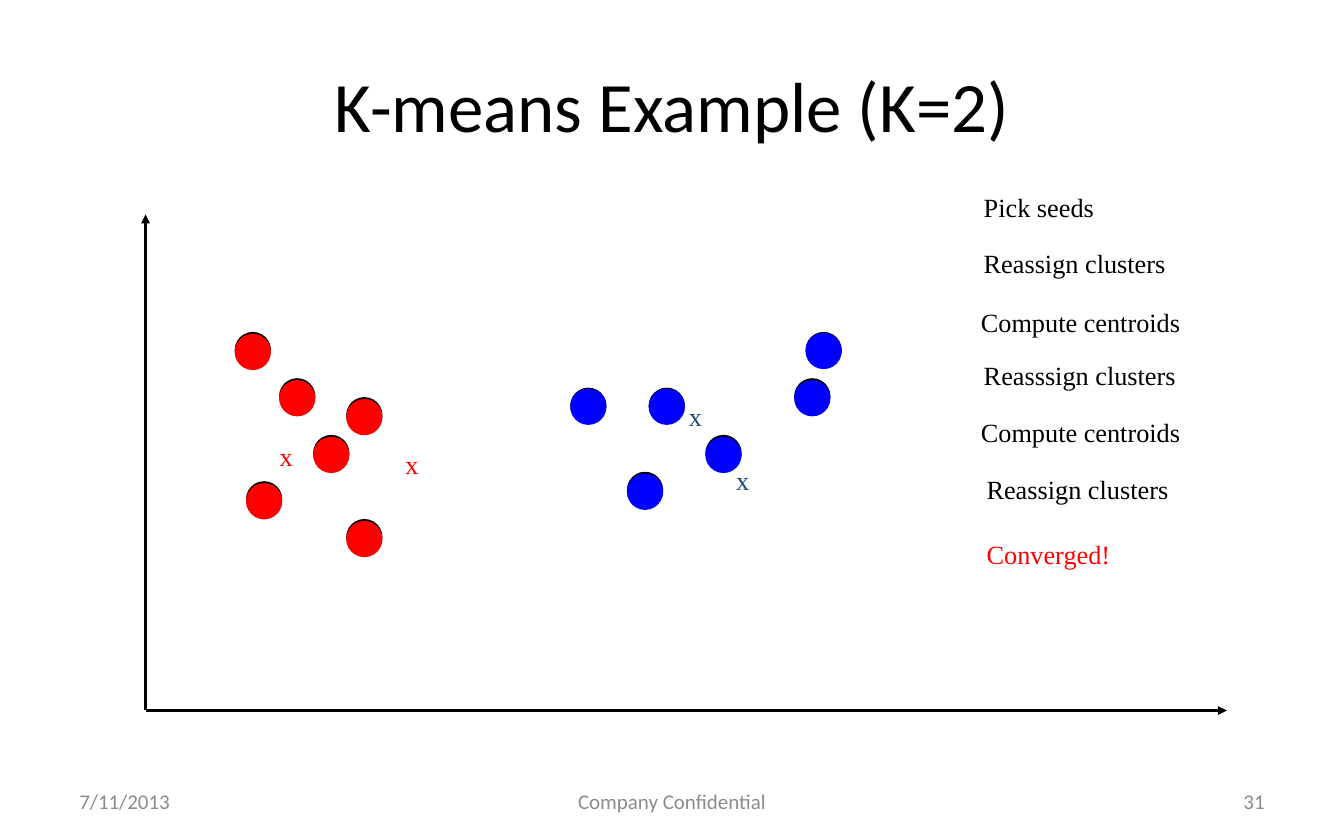
import pptx
import pptx.util
import pptx.dml.color
import pptx.enum.shapes
import pptx.enum.text
import pptx.oxml
import pptx.oxml.ns

Inches, Pt = pptx.util.Inches, pptx.util.Pt
ALIGN = pptx.enum.text.PP_ALIGN
ANCHOR = pptx.enum.text.MSO_ANCHOR

BLACK, RED, BLUE, NAVY, GRAY = "000000", "FF0000", "0000FF", "1F497D", "8C8C8C"
DOT = 0.37

AXES = [((1.54, 7.51), (1.54, 2.27)), ((1.54, 7.52), (12.98, 7.52))]

CLUSTERS = [
    (RED, 0.02, [(2.49, 3.52), (2.96, 4.01), (3.67, 4.21),
                 (3.32, 4.61), (2.61, 5.1), (3.67, 5.5)]),
    (BLUE, 0.02, [(8.41, 4.01), (7.47, 4.61), (6.64, 5)]),
    (BLUE, 0.01, [(8.53, 3.52), (6.04, 4.11), (6.87, 4.11)]),
]

CENTROIDS = [(4.19, 4.7, RED), (2.86, 4.61, RED),
             (7.69, 4.86, NAVY), (7.19, 4.19, NAVY)]

STEPS = [
    ("Pick seeds", 10.31, 1.98, 1.38, BLACK),
    ("Reassign clusters", 10.31, 2.57, 2.14, BLACK),
    ("Compute centroids", 10.28, 3.19, 2.33, BLACK),
    ("Reasssign clusters", 10.31, 3.75, 2.25, BLACK),
    ("Compute centroids", 10.28, 4.36, 2.33, BLACK),
    ("Reassign clusters", 10.34, 4.96, 2.14, BLACK),
    ("Converged!", 10.34, 5.65, 1.52, RED),
]

FRAMED = [
    ("K-means Example (K=2)", (0.71, 0.36, 12.8, 1.48), 54, BLACK, ALIGN.CENTER),
    ("7/11/2013", (0.71, 8.24, 3.32, 0.47), 16, GRAY, ALIGN.LEFT),
    ("Company Confidential", (4.86, 8.24, 4.5, 0.47), 16, GRAY, ALIGN.CENTER),
    ("31", (10.19, 8.24, 3.32, 0.47), 16, GRAY, ALIGN.RIGHT),
]


def rgb(color):
    return pptx.dml.color.RGBColor.from_string(color)


def set_all(obj, values):
    for name, value in values.items():
        setattr(obj, name, value)


def add_text(s, text, box, size, color, font, align=ALIGN.LEFT,
             anchor=ANCHOR.TOP, wrap=False, inset=(0.1, 0.05)):
    tf = s.shapes.add_textbox(*map(Inches, box)).text_frame
    dx, dy = map(Inches, inset)
    set_all(tf, {"margin_left": dx, "margin_right": dx, "margin_top": dy,
                 "margin_bottom": dy, "word_wrap": wrap,
                 "vertical_anchor": anchor})
    p = tf.paragraphs[0]
    p.alignment = align
    r = p.add_run()
    r.text = text
    set_all(r.font, {"name": font, "size": Pt(size)})
    r.font.color.rgb = rgb(color)


def add_axis(s, start, end):
    line = s.shapes.add_connector(pptx.enum.shapes.MSO_CONNECTOR.STRAIGHT,
                                  *map(Inches, start + end))
    line.line.color.rgb = rgb(BLACK)
    line.line.width = Pt(2.25)
    ns = pptx.oxml.ns.nsdecls("a")
    line.line._get_or_add_ln().append(
        pptx.oxml.parse_xml(f'<a:tailEnd {ns} type="triangle"/>'))
    line._element.spPr.append(pptx.oxml.parse_xml(f"<a:effectLst {ns}/>"))


def add_dot(s, x, y, color):
    sp = s.shapes.add_shape(pptx.enum.shapes.MSO_SHAPE.OVAL,
                            *map(Inches, (x, y, DOT, DOT)))
    sp.shadow.inherit = False
    sp.fill.solid()
    sp.fill.fore_color.rgb = rgb(color)
    sp.line.color.rgb = rgb(color)
    sp.line.width = Pt(1)


def main():
    prs = pptx.Presentation()
    set_all(prs, {"slide_width": Inches(14.22), "slide_height": Inches(8.89)})
    s = prs.slides.add_slide(prs.slide_layouts[6])

    for start, end in AXES:
        add_axis(s, start, end)
    for color, shift, points in CLUSTERS:
        for x, y in points:
            add_dot(s, x, y, BLACK)
            add_dot(s, x, y + shift, color)
    marks = [("x", x, y, 0.34, color) for x, y, color in CENTROIDS]
    for text, x, y, width, color in STEPS + marks:
        add_text(s, text, (x, y, width, 0.44), 20, color, "Times New Roman")
    for text, box, size, color, align in FRAMED:
        add_text(s, text, box, size, color, "Calibri", align,
                 ANCHOR.MIDDLE, True, (0.13, 0.07))

    prs.save("out.pptx")


if __name__ == "__main__":
    main()
